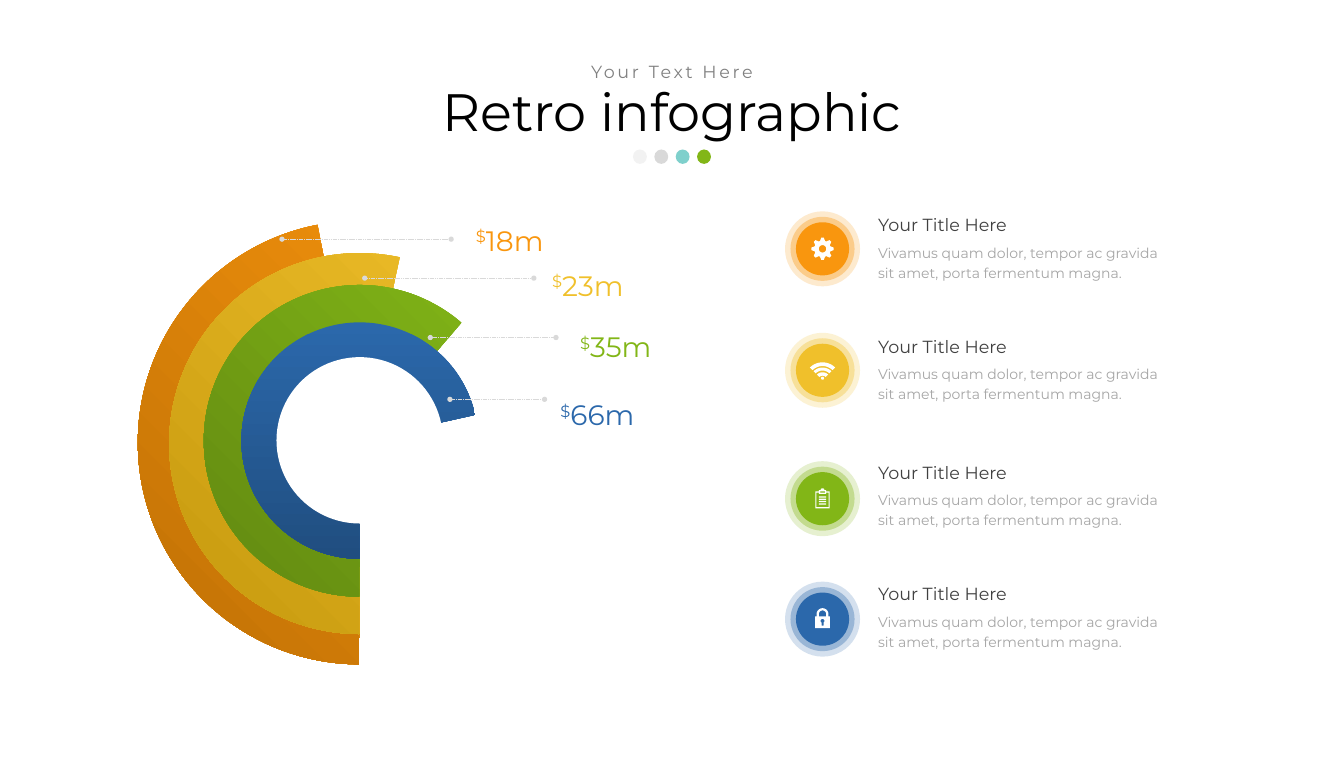
from dataclasses import dataclass
from math import cos, radians, sin

from lxml import etree
from pptx import Presentation
from pptx.dml.color import RGBColor
from pptx.enum.dml import MSO_LINE
from pptx.enum.shapes import MSO_CONNECTOR, MSO_SHAPE
from pptx.enum.text import MSO_AUTO_SIZE, PP_ALIGN
from pptx.oxml.ns import qn
from pptx.util import Cm, Pt

OVAL, PIE = MSO_SHAPE.OVAL, MSO_SHAPE.PIE
STRAIGHT = MSO_CONNECTOR.STRAIGHT
SYS_DASH = MSO_LINE.SQUARE_DOT
LEFT, CENTER = PP_ALIGN.LEFT, PP_ALIGN.CENTER
GROW = MSO_AUTO_SIZE.SHAPE_TO_FIT_TEXT

FONT = "Montserrat"
ORANGE, YELLOW, GREEN, BLUE = "F9960E", "F0C02B", "82B617", "2B68AB"
WHITE, LIGHT_GRAY = "FFFFFF", "D9D9D9"
RING_X, BADGE_X, ITEM_X = 14.48, 33.11, 35.1
ICON_UNITS = 1000

Point = tuple[float, float]
Contour = list[Point]


@dataclass
class Ring:
    cy: float
    diameter: float
    start: float
    color: str
    dark: str
    angle: int


@dataclass
class Callout:
    x1: float
    x2: float
    y: float
    label_x: float
    label_y: float
    amount: str
    color: str


@dataclass
class Item:
    title_y: float
    badge_y: float
    color: str
    icon: list[Contour]


def rgb(value: str) -> RGBColor:
    return RGBColor.from_string(value)


def arc(r: float, start: float, end: float, cy: float = 0, steps: int = 24) -> Contour:
    angles = [radians(start + (end - start) * i / steps) for i in range(steps + 1)]
    return [(r * cos(a), cy + r * sin(a)) for a in angles]


def rect(half: float, top: float, bottom: float) -> Contour:
    return [(-half, top), (half, top), (half, bottom), (-half, bottom)]


def gear() -> list[Contour]:
    tooth = [(0.33, -18), (0.45, -6.5), (0.45, 6.5), (0.33, 18)]
    rim = [(r * cos(radians(a + t)), r * sin(radians(a + t)))
           for a in range(0, 360, 45) for r, t in tooth]
    return [rim, arc(0.15, 0, 360)]


def wifi() -> list[Contour]:
    bands = [(0.72, 0.57), (0.51, 0.39), (0.32, 0.18)]
    waves = [arc(outer, 225, 315, 0.4) + arc(inner, 315, 225, 0.4) for outer, inner in bands]
    return waves + [arc(0.06, 0, 360, 0.32)]


def clipboard() -> list[Contour]:
    board = ([(-0.29, 0.39), (-0.29, -0.29), (-0.15, -0.29), (-0.15, -0.34)]
             + arc(0.08, 180, 360, -0.34)
             + [(0.15, -0.34), (0.15, -0.29), (0.29, -0.29), (0.29, 0.39)])
    page = [(-0.25, -0.24), (-0.15, -0.24), (-0.15, -0.19), (0.15, -0.19),
            (0.15, -0.24), (0.25, -0.24), (0.25, 0.34), (-0.25, 0.34)]
    rows = [rect(0.15, y, y + 0.05) for y in (-0.09, 0, 0.09, 0.19)]
    return [board, page, rect(0.1, -0.29, -0.24)] + rows


def lock() -> list[Contour]:
    shackle = ([(-0.24, -0.11)] + arc(0.24, 180, 360, -0.2) + [(0.24, -0.11), (0.15, -0.11)]
               + arc(0.15, 360, 180, -0.2) + [(-0.15, -0.11)])
    keyhole = arc(0.08, 120, 420, 0.07) + [(0.04, 0.26), (-0.04, 0.26)]
    return [shackle, rect(0.3, -0.11, 0.36), keyhole]


def add_solid(s, kind, x: float, y: float, w: float, h: float, color: str, alpha: int = 100):
    sp = s.shapes.add_shape(kind, Cm(x), Cm(y), Cm(w), Cm(h))
    sp.shadow.inherit = False
    sp.line.fill.background()
    sp.fill.solid()
    sp.fill.fore_color.rgb = rgb(color)
    if alpha < 100:
        clr = sp.element.spPr.find(f"{qn('a:solidFill')}/{qn('a:srgbClr')}")
        etree.SubElement(clr, qn("a:alpha"), val=str(alpha * 1000))
    return sp


def add_disc(s, cx: float, cy: float, d: float, color: str, alpha: int = 100) -> None:
    add_solid(s, OVAL, cx - d / 2, cy - d / 2, d, d, color, alpha)


def add_text(s, text: str, x: float, y: float, w: float, h: float, *, size: int, color: str,
             align=LEFT, line: float = 1.2, grow: bool = True, spacing: int = 0,
             prefix: str = "") -> None:
    tf = s.shapes.add_textbox(Cm(x), Cm(y), Cm(w), Cm(h)).text_frame
    tf.word_wrap = True
    if grow:
        tf.auto_size = GROW
    p = tf.paragraphs[0]
    p.alignment, p.line_spacing = align, line
    for part, baseline in ((prefix, 30), (text, 0)):
        if not part:
            continue
        r = p.add_run()
        r.text = part
        r.font.name, r.font.size, r.font.color.rgb = FONT, Pt(size), rgb(color)
        rPr = r._r.get_or_add_rPr()
        if baseline:
            rPr.set("baseline", str(baseline * 1000))
        if spacing:
            rPr.set("spc", str(spacing * 100))


def add_ring(s, ring: Ring) -> None:
    d = ring.diameter
    sp = add_solid(s, PIE, RING_X - d / 2, ring.cy - d / 2, d, d, ring.color)
    sp.adjustments[0], sp.adjustments[1] = ring.start * 0.6, 89.8 * 0.6
    sp.element.spPr.find(qn("a:xfrm")).set("flipH", "1")
    sp.fill.gradient()
    sp.fill.gradient_angle = 360 - ring.angle
    for stop, color in zip(sp.fill.gradient_stops, (ring.color, ring.dark)):
        stop.color.rgb = rgb(color)


def add_callout(s, c: Callout) -> None:
    cn = s.shapes.add_connector(STRAIGHT, Cm(c.x1), Cm(c.y), Cm(c.x2), Cm(c.y))
    cn.line.color.rgb, cn.line.width, cn.line.dash_style = rgb(LIGHT_GRAY), Pt(0.5), SYS_DASH
    spPr = cn.element.spPr
    for tag in ("a:headEnd", "a:tailEnd"):
        etree.SubElement(spPr.find(qn("a:ln")), qn(tag), type="oval")
    etree.SubElement(spPr, qn("a:effectLst"))
    add_text(s, c.amount, c.label_x, c.label_y, 4.98, 1.78, size=32, color=c.color,
             align=CENTER, prefix="$")


def add_icon(s, cx: float, cy: float, contours: list[Contour]) -> None:
    scaled = [[(x * ICON_UNITS, y * ICON_UNITS) for x, y in c] for c in contours]
    fb = s.shapes.build_freeform(*scaled[0][0], scale=Cm(1) / ICON_UNITS)
    for i, points in enumerate(scaled):
        if i:
            fb.move_to(*points[0])
        fb.add_line_segments(points[1:], close=True)
    sp = fb.convert_to_shape(Cm(cx), Cm(cy))
    sp.shadow.inherit = False
    sp.fill.solid()
    sp.fill.fore_color.rgb = rgb(WHITE)
    sp.line.fill.background()


def add_item(s, item: Item) -> None:
    add_text(s, "Your Title Here", ITEM_X, item.title_y, 9.47, 1.27, size=20, color="404040")
    add_text(s, "Vivamus quam dolor, tempor ac gravida sit amet, porta fermentum magna.",
             ITEM_X, item.title_y + 1.24, 12.04, 1.9, size=16, color="A6A6A6")
    for d, alpha in ((3.02, 20), (2.58, 35), (2.14, 100)):
        add_disc(s, BADGE_X, item.badge_y, d, item.color, alpha)
    add_icon(s, BADGE_X, item.badge_y, item.icon)


RINGS = [
    Ring(17.82, 17.86, 280.97, ORANGE, "C07105", 45),
    Ring(17.86, 15.34, 257.88, YELLOW, "C6990E", 45),
    Ring(17.75, 12.55, 229.26, GREEN, "628911", 45),
    Ring(17.74, 9.52, 192.54, BLUE, "204E80", 90),
]
CALLOUTS = [
    Callout(11.35, 18.16, 9.63, 18.03, 8.59, "18m", ORANGE),
    Callout(14.68, 21.49, 11.2, 21.18, 10.41, "23m", YELLOW),
    Callout(17.32, 22.38, 13.59, 22.3, 12.88, "35m", GREEN),
    Callout(18.11, 21.92, 16.08, 21.56, 15.62, "66m", BLUE),
]
ITEMS = [
    Item(8.33, 10.02, ORANGE, gear()),
    Item(13.23, 14.91, YELLOW, wifi()),
    Item(18.29, 20.08, GREEN, clipboard()),
    Item(23.19, 24.93, BLUE, lock()),
]
DOTS = [("F2F2F2", 100), (LIGHT_GRAY, 98), ("00A39B", 50), (GREEN, 100)]


def main() -> None:
    prs = Presentation()
    prs.slide_width, prs.slide_height = Cm(54.1), Cm(30.48)
    s = prs.slides.add_slide(prs.slide_layouts[6])
    for ring in RINGS:
        add_ring(s, ring)
    add_disc(s, RING_X, 17.73, 6.7, WHITE)
    for callout in CALLOUTS:
        add_callout(s, callout)
    add_text(s, "Retro infographic", 2.59, 3.33, 48.92, 2.62, size=60, color="000000",
             align=CENTER, line=0.9, grow=False)
    add_text(s, "Your Text Here", 19, 2.41, 16.1, 0.89, size=20, color="808080",
             align=CENTER, line=0.9, grow=False, spacing=3)
    for i, (color, alpha) in enumerate(DOTS):
        add_solid(s, OVAL, 25.48 + i * 0.86, 6.02, 0.56, 0.58, color, alpha)
    for item in ITEMS:
        add_item(s, item)
    prs.save("out.pptx")


if __name__ == "__main__":
    main()
